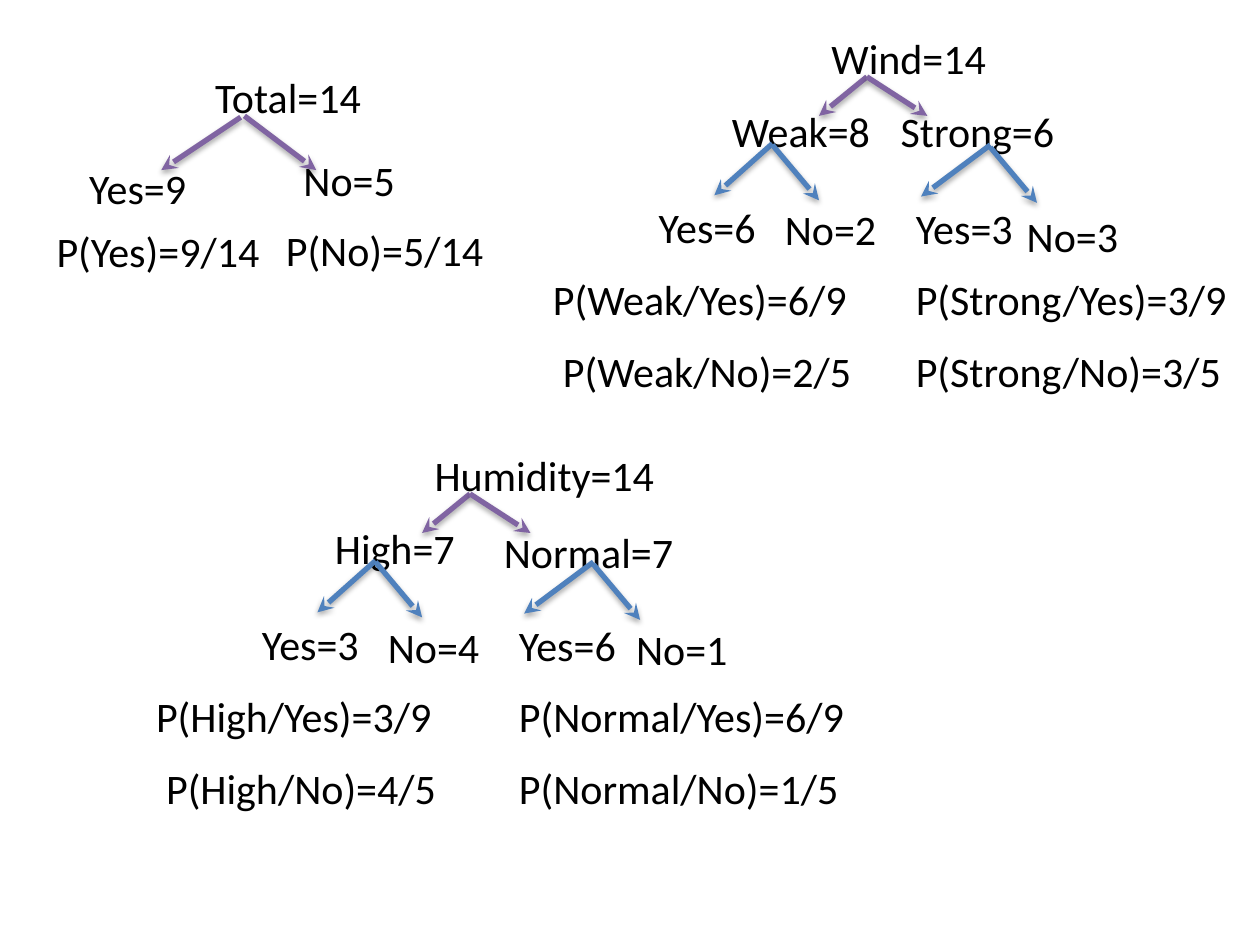
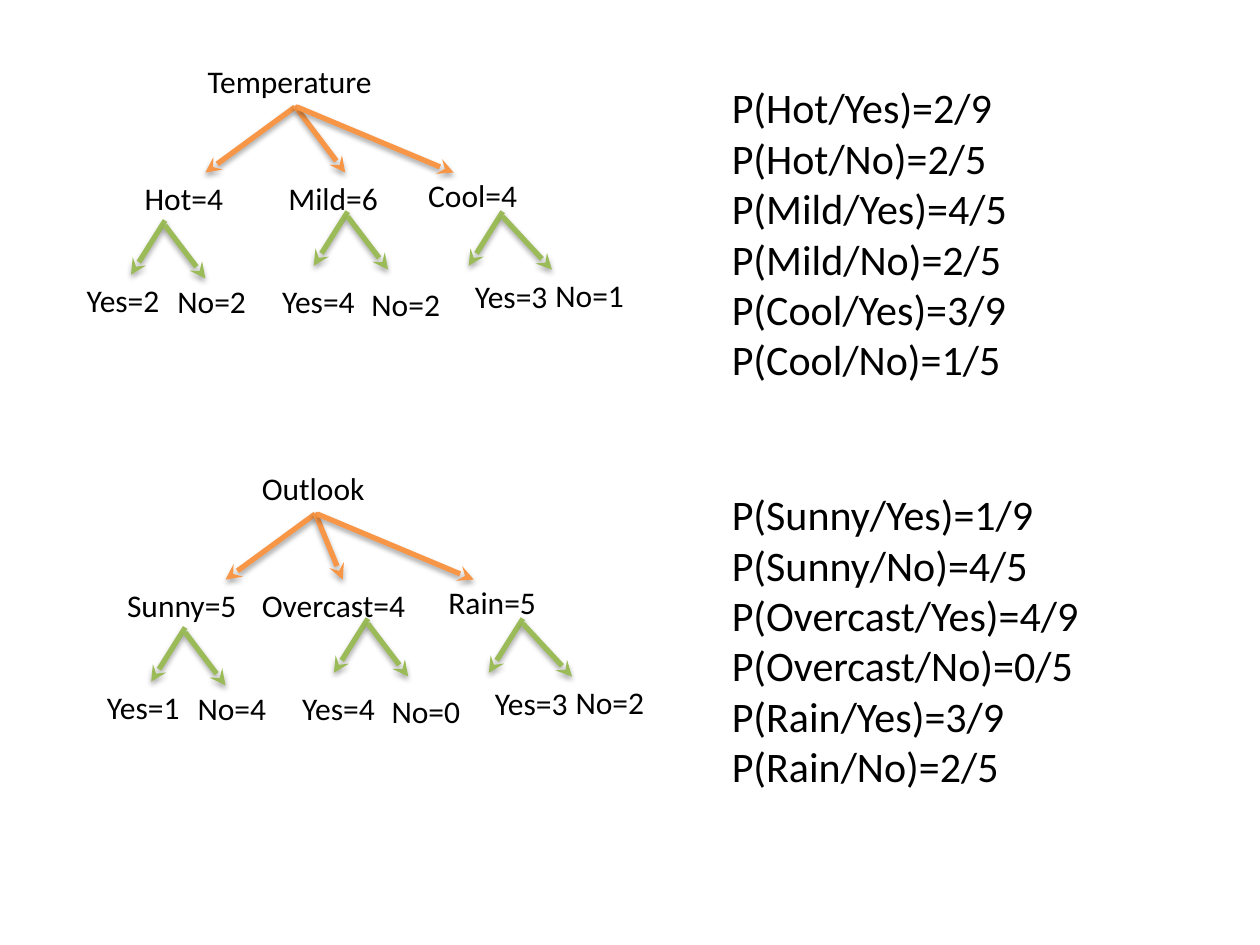
from lxml import etree
from pptx import Presentation
from pptx.dml.color import RGBColor
from pptx.enum.dml import MSO_THEME_COLOR
from pptx.enum.shapes import MSO_CONNECTOR
from pptx.enum.text import MSO_AUTO_SIZE
from pptx.oxml import parse_xml
from pptx.oxml.ns import nsdecls, qn
from pptx.util import Pt

PX = 9144  # 100 px to the inch
STRAIGHT = MSO_CONNECTOR.STRAIGHT
GROW = MSO_AUTO_SIZE.SHAPE_TO_FIT_TEXT

BLACK = RGBColor(0x00, 0x00, 0x00)
PURPLE = RGBColor(0x80, 0x64, 0xA2)
BLUE = RGBColor(0x4F, 0x81, 0xBD)
ORANGE = RGBColor(0xF7, 0x96, 0x46)
GREEN = RGBColor(0x9B, 0xBB, 0x59)
FONT = "Calibri"
BIG, SMALL = 24, 18
LINE_HEIGHT = {BIG: 50, SMALL: 40}

SHADOW = (
    f'<a:effectLst {nsdecls("a")}>'
    '<a:outerShdw blurRad="40000" dist="23000" dir="5400000" rotWithShape="0">'
    '<a:srgbClr val="000000"><a:alpha val="35000"/></a:srgbClr>'
    '</a:outerShdw></a:effectLst>'
)

# Label slots: left, top, width. Arrows: from x, from y, to x, to y, colour.
TOTAL_SLOTS = [(161, 52, 162), (231, 118, 162), (61, 124, 162),
               (35, 174, 189), (217, 173, 191)]
TOTAL_ARROWS = [(191, 93, 128, 135, PURPLE), (194, 92, 251, 135, PURPLE)]

TWO_WAY_SLOTS = [
    (650, 21, 162),
    (571, 79, 162), (705, 79, 162),
    (513, 155, 107), (613, 157, 162), (717, 156, 107), (805, 162, 162),
    (429, 212, 303), (437, 269, 303), (717, 212, 283), (717, 269, 283),
]
TWO_WAY_ARROWS = [
    (688, 61, 650, 92, PURPLE), (688, 61, 736, 92, PURPLE),
    (613, 114, 567, 155, BLUE), (613, 115, 650, 159, BLUE),
    (786, 115, 731, 156, BLUE), (786, 117, 823, 161, BLUE),
]

THREE_WAY_SLOTS = [
    (155, 44, 206),
    (105, 137, 90), (219, 137, 111), (330, 135, 108),
    (59, 218, 90), (131, 219, 90), (214, 219, 90),
    (285, 221, 90), (367, 215, 90), (431, 214, 90),
]


def three_way_arrows(middle_x):
    """Arrows to three branches, the middle one ending at middle_x."""
    arrows = [(234, 85, 163, 137, ORANGE), (234, 84, middle_x, 137, ORANGE),
              (236, 85, 360, 137, ORANGE)]
    for x, y, no_dx in ((131, 175, 32), (276, 168, 32), (399, 168, 39)):
        arrows += [(x, y, x - 27, y + 43, GREEN),
                   (x, y + 4, x + no_dx, y + 46, GREEN)]
    return arrows


def add_text(s, text, x, y, w, h, size=BIG, color=BLACK):
    box = s.shapes.add_textbox(x * PX, y * PX, w * PX, h * PX)
    tf = box.text_frame
    tf.word_wrap = True
    tf.auto_size = GROW
    tf.text = text
    for p in tf.paragraphs:
        font = p.runs[0].font
        font.name, font.size = FONT, Pt(size)
        font.color.rgb = color


def add_arrow(s, x1, y1, x2, y2, color):
    line = s.shapes.add_connector(STRAIGHT, x1 * PX, y1 * PX, x2 * PX, y2 * PX)
    line.line.color.rgb = color
    line.line.width = Pt(3)
    etree.SubElement(line.line._get_or_add_ln(), qn("a:tailEnd"), type="stealth")
    line._element.spPr.append(parse_xml(SHADOW))


def add_tree(s, labels, slots, arrows, dx=0, dy=0, size=BIG, adjust=None):
    """Draw a tree moved by dx, dy; adjust maps a label to extra x, y, width."""
    adjust = adjust or {}
    for text, (x, y, w) in zip(labels, slots, strict=True):
        ax, ay, aw = adjust.get(text, (0, 0, 0))
        add_text(s, text, x + dx + ax, y + dy + ay, w + aw,
                 LINE_HEIGHT[size], size=size)
    for x1, y1, x2, y2, color in arrows:
        add_arrow(s, x1 + dx, y1 + dy, x2 + dx, y2 + dy, color)


def build_two_way_slide(s):
    add_tree(s, ["Total=14", "No=5", "Yes=9", "P(Yes)=9/14", "P(No)=5/14"],
             TOTAL_SLOTS, TOTAL_ARROWS)
    add_tree(s, ["Wind=14", "Weak=8", "Strong=6",
                 "Yes=6", "No=2", "Yes=3", "No=3",
                 "P(Weak/Yes)=6/9", "P(Weak/No)=2/5",
                 "P(Strong/Yes)=3/9", "P(Strong/No)=3/5"],
             TWO_WAY_SLOTS, TWO_WAY_ARROWS)
    add_tree(s, ["Humidity=14", "High=7", "Normal=7",
                 "Yes=3", "No=4", "Yes=6", "No=1",
                 "P(High/Yes)=3/9", "P(High/No)=4/5",
                 "P(Normal/Yes)=6/9", "P(Normal/No)=1/5"],
             TWO_WAY_SLOTS, TWO_WAY_ARROWS, dx=-315, dy=331,
             adjust={"Humidity=14": (0, 0, 57), "Normal=7": (0, 3, 0),
                     "No=1": (5, -3, 0)})


def build_three_way_slide(s):
    add_tree(s, ["Temperature", "Hot=4", "Mild=6", "Cool=4",
                 "Yes=2", "No=2", "Yes=4", "No=2", "Yes=3", "No=1"],
             THREE_WAY_SLOTS, three_way_arrows(274), size=SMALL)
    add_text(s, "P(Hot/Yes)=2/9\nP(Hot/No)=2/5\nP(Mild/Yes)=4/5\n"
             "P(Mild/No)=2/5\nP(Cool/Yes)=3/9\nP(Cool/No)=1/5",
             571, 60, 394, 252)
    add_tree(s, ["Outlook", "Sunny=5", "Overcast=4", "Rain=5",
                 "Yes=1", "No=4", "Yes=4", "No=0", "Yes=3", "No=2"],
             THREE_WAY_SLOTS, three_way_arrows(256), dx=16, dy=323, size=SMALL,
             adjust={"Outlook": (27, 0, -103), "Sunny=5": (-30, 0, 31),
                     "Overcast=4": (-37, 0, 37)})
    add_text(s, "P(Sunny/Yes)=1/9\nP(Sunny/No)=4/5\nP(Overcast/Yes)=4/9\n"
             "P(Overcast/No)=0/5\nP(Rain/Yes)=3/9\nP(Rain/No)=2/5",
             571, 383, 353, 252)


def main():
    prs = Presentation()
    prs.slide_width, prs.slide_height = 1000 * PX, 750 * PX
    blank = prs.slide_layouts[6]
    prs.slide_master.background.fill.solid()
    prs.slide_master.background.fill.fore_color.theme_color = MSO_THEME_COLOR.BACKGROUND_1
    build_two_way_slide(prs.slides.add_slide(blank))
    build_three_way_slide(prs.slides.add_slide(blank))
    prs.save("out.pptx")


if __name__ == "__main__":
    main()
